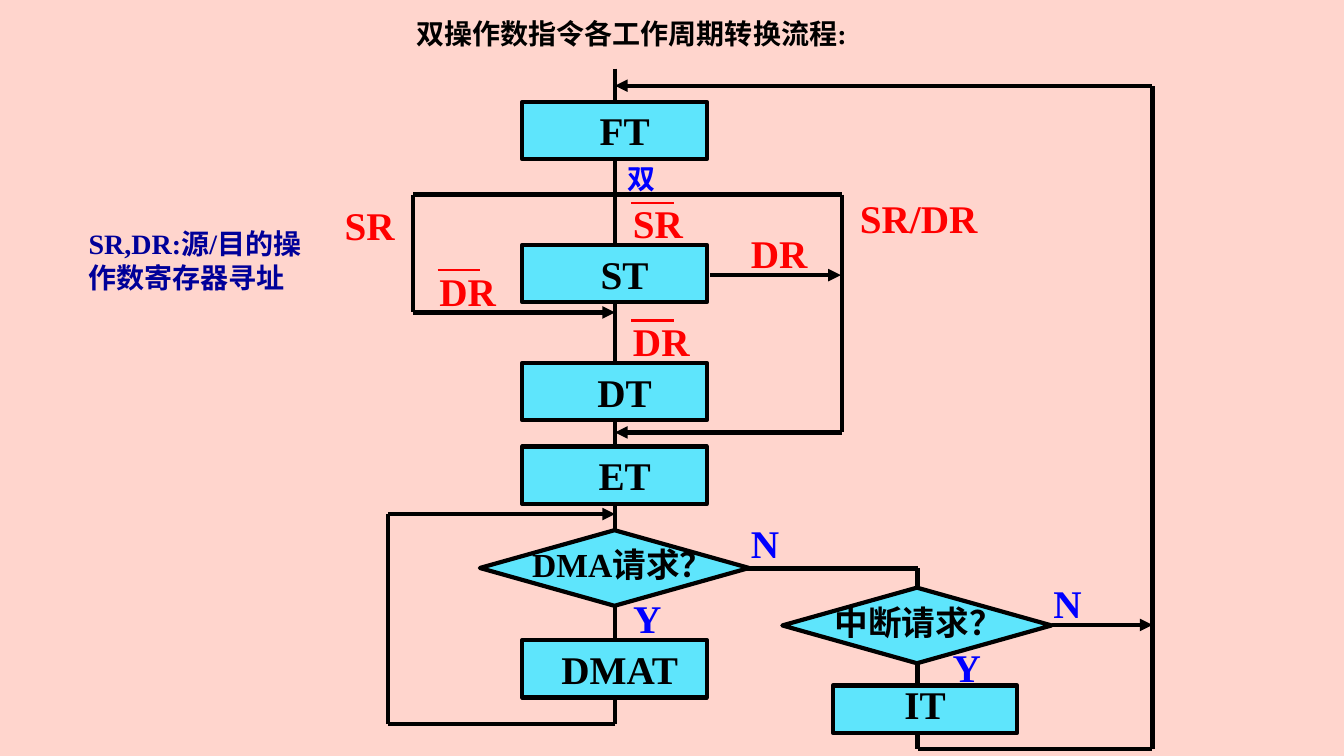
from dataclasses import dataclass
from itertools import pairwise

from lxml.etree import SubElement
from pptx import Presentation
from pptx.dml.color import RGBColor
from pptx.enum.shapes import MSO_CONNECTOR as Connector, MSO_SHAPE as Preset
from pptx.enum.text import MSO_ANCHOR as Anchor, MSO_AUTO_SIZE as AutoSize, PP_ALIGN as Align
from pptx.oxml.ns import qn
from pptx.util import Pt

PX = 9144  # EMU per px, 100 px to the inch
COLORS = {"background": "FFD5CD", "box": "5EE5FC", "black": "000000",
          "red": "FF0000", "blue": "0000FF", "navy": "000099"}
FONT = {"name": "Times New Roman", "bold": True}
FRAME = {"auto_size": AutoSize.NONE, "vertical_anchor": Anchor.TOP,
         "margin_left": 10 * PX, "margin_right": 10 * PX,
         "margin_top": 5 * PX, "margin_bottom": 5 * PX}


@dataclass(frozen=True)
class Node:
    left: int
    top: int
    width: int = 183
    height: int = 57
    text: str = ""
    indent: int = 30
    preset: Preset = Preset.RECTANGLE
    anchor: Anchor = Anchor.TOP


@dataclass(frozen=True)
class Label:
    text: str
    left: int
    top: int
    width: int = 100
    height: int = 57
    color: str = "red"
    size: int = 28
    overline: bool = False
    wrap: bool = True


@dataclass(frozen=True)
class Route:
    points: tuple[tuple[int, int], ...]
    arrow: bool = False
    color: str = "black"
    width: float = 3


AXIS, BRANCH = 610, 910  # centre lines of the two columns
LEFT, RIGHT, LOOP = 410, 835, 1143

ROUTES = [
    # Main column
    Route(((AXIS, 68), (AXIS, 101))),
    Route(((AXIS, 158), (AXIS, 243))),
    Route(((AXIS, 300), (AXIS, 360))),
    Route(((AXIS, 417), (AXIS, 443))),
    Route(((AXIS, 500), (AXIS, 526))),
    Route(((AXIS, 601), (AXIS, 635))),
    # Bypasses of ST and DT
    Route(((AXIS, 193), (LEFT, 193), (LEFT, 310), (AXIS, 310)), arrow=True),
    Route(((AXIS, 193), (RIGHT, 193), (RIGHT, 429), (AXIS, 429)), arrow=True),
    Route(((704, 273), (834, 273)), arrow=True),
    # DMA loop, interrupt branch and return to FT
    Route(((AXIS, 692), (AXIS, 718), (385, 718), (385, 510), (AXIS, 510)), arrow=True),
    Route(((735, 564), (BRANCH, 564), (BRANCH, 583))),
    Route(((BRANCH, 658), (BRANCH, 680))),
    Route(((BRANCH, 727), (BRANCH, 743), (LOOP, 743), (LOOP, 85), (AXIS, 85)), arrow=True),
    Route(((1043, 620), (LOOP, 620)), arrow=True),
]

NODES = [
    *(Node(518, top, text=text)
      for text, top in (("FT", 101), ("ST", 243), ("DT", 360), ("ET", 443))),
    Node(518, 635, text="DMAT", indent=20),
    Node(826, 680, height=47, text="IT", indent=10, anchor=Anchor.BOTTOM),
    *(Node(left, top, 267, 75, preset=Preset.FLOWCHART_DECISION)
      for left, top in ((476, 526), (776, 583))),
]

LABELS = [
    # Questions in the diamonds
    Label("DMA请求？", 518, 535, 217, 51, "black", 24),
    Label("中断请求？", 818, 592, 217, 51, "black", 24),
    # Addressing conditions
    Label("双", 613, 155, 188, 44, "blue", 20),
    Label("SR", 618, 193, overline=True),
    Label("DR", 618, 310, overline=True),
    Label("DR", 426, 260, overline=True),
    Label("DR", 735, 223),
    Label("SR", 332, 195, 71, wrap=False),
    Label("SR/DR", 843, 188, 138, wrap=False),
    # Answers
    *(Label(text, left, top, 75, color="blue")
      for text, left, top in (("Y", 618, 585), ("N", 735, 510),
                              ("Y", 935, 633), ("N", 1035, 570))),
    Label("SR,DR:源/目的操作数寄存器寻址", 78, 220, 233, 77, "navy", 20),
]


def rgb(name: str) -> RGBColor:
    return RGBColor.from_string(COLORS[name])


def apply(target: object, values: dict) -> None:
    for name, value in values.items():
        setattr(target, name, value)


def place(left: int, top: int, width: int, height: int) -> dict[str, int]:
    return {"left": left * PX, "top": top * PX, "width": width * PX, "height": height * PX}


def write(shape, text: str, color: str = "black", size: int = 28,
          align: Align = Align.LEFT, **frame) -> None:
    apply(shape.text_frame, FRAME | {"word_wrap": True} | frame)
    paragraph = shape.text_frame.paragraphs[0]
    paragraph.alignment = align
    run = paragraph.add_run()
    run.text = text
    apply(run.font, FONT | {"size": Pt(size)})
    run.font.color.rgb = rgb(color)


def draw_route(slide, route: Route) -> None:
    segments = list(pairwise(route.points))
    for index, (start, end) in enumerate(segments, 1):
        line = slide.shapes.add_connector(
            Connector.STRAIGHT, *(value * PX for value in (*start, *end)))
        line.line.color.rgb = rgb(route.color)
        line.line.width = Pt(route.width)
        if route.arrow and index == len(segments):
            SubElement(line.line._get_or_add_ln(), qn("a:tailEnd"), type="triangle")
        SubElement(line._element.spPr, qn("a:effectLst"))


def draw_node(slide, node: Node) -> None:
    box = place(node.left, node.top, node.width, node.height)
    shape = slide.shapes.add_shape(node.preset, **box)
    shape.shadow.inherit = False
    shape.fill.solid()
    shape.fill.fore_color.rgb = rgb("box")
    shape.line.color.rgb = rgb("black")
    shape.line.width = Pt(3)
    if node.text:
        write(shape, node.text, align=Align.CENTER,
              margin_left=node.indent * PX, vertical_anchor=node.anchor)


def draw_label(slide, label: Label) -> None:
    box = place(label.left, label.top, label.width, label.height)
    write(slide.shapes.add_textbox(**box), label.text, label.color, label.size,
          word_wrap=label.wrap)
    if label.overline:
        start, height = label.left + 8, label.top + 8
        draw_route(slide, Route(((start, height), (start + 42, height)),
                                color=label.color, width=1.5))


def main() -> None:
    presentation = Presentation()
    apply(presentation, {"slide_width": 1333 * PX, "slide_height": 750 * PX})
    slide = presentation.slides.add_slide(presentation.slide_layouts[5])
    slide.background.fill.solid()
    slide.background.fill.fore_color.rgb = rgb("background")

    # Title
    title = slide.shapes.title
    apply(title, place(403, 11, 468, 44))
    write(title, "双操作数指令各工作周期转换流程:", size=20)

    # Flow chart
    for route in ROUTES:
        draw_route(slide, route)
    for node in NODES:
        draw_node(slide, node)
    for label in LABELS:
        draw_label(slide, label)
    presentation.save("out.pptx")


if __name__ == "__main__":
    main()
